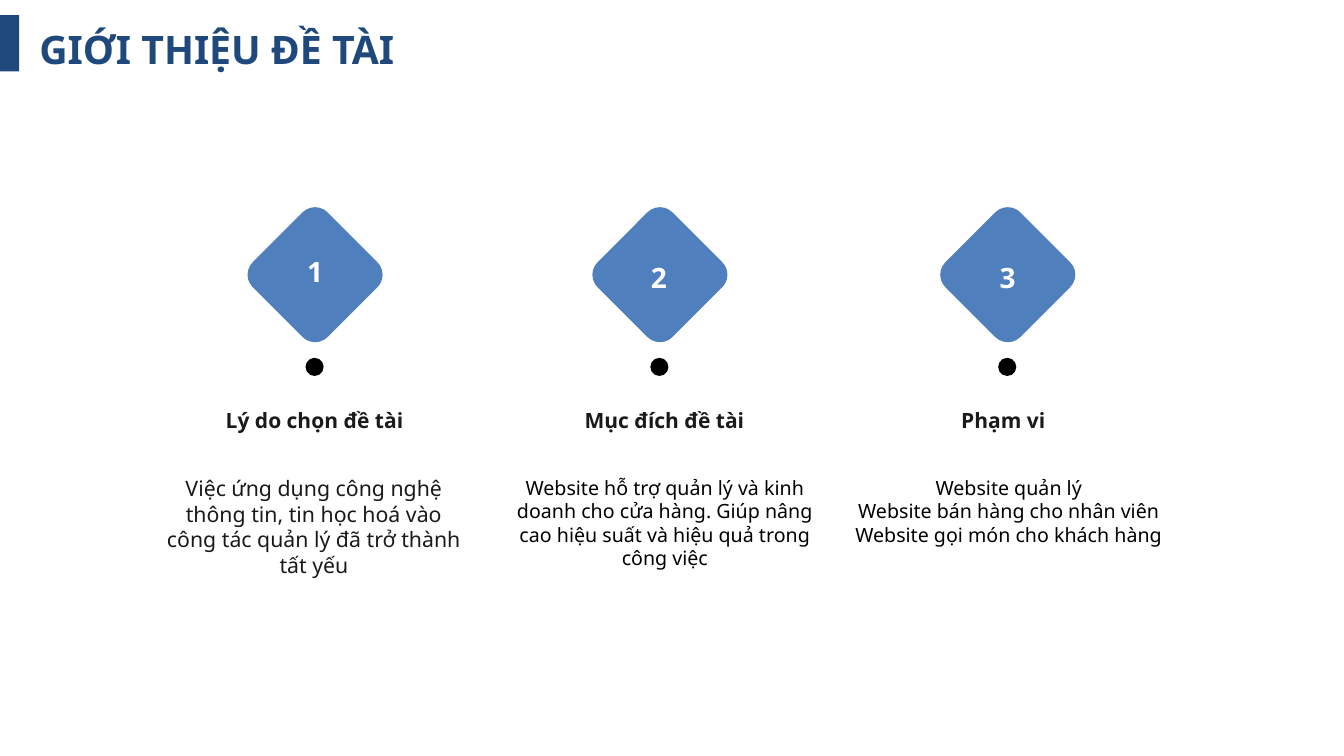
from dataclasses import dataclass

from pptx import Presentation
from pptx import util as u
from pptx.dml.color import RGBColor
from pptx.enum import shapes, text

KIND = shapes.MSO_SHAPE
ALIGN = text.PP_ALIGN
ANCHOR = text.MSO_ANCHOR


@dataclass(frozen=True)
class Theme:
    """Colours, font and type sizes of the deck."""
    font: str = "Noto Sans"
    navy: str = "1F497D"
    blue: str = "4F80BD"
    white: str = "FFFFFF"
    black: str = "000000"
    ink: str = "1A1A1A"
    title: float = 28
    number: float = 20
    heading: float = 15
    lead: float = 15.2
    body: float = 14


class Slide:
    """Draws styled elements on one page, with lengths in px."""
    PX = 9144

    def __init__(self, deck, theme):
        self.theme = theme
        self.page = deck.slides.add_slide(deck.slide_layouts[5])

    def scale(self, *lengths):
        return [u.Emu(length * self.PX) for length in lengths]

    def fill_text(self, box, words, size, color, bold=False, align=ALIGN.CENTER):
        box.text_frame.text = words
        for para in box.text_frame.paragraphs:
            para.alignment = align
            for span in para.runs:
                span.font.name = self.theme.font
                span.font.size = u.Pt(size)
                span.font.bold = bold
                span.font.color.rgb = RGBColor.from_string(color)

    def title(self, words, *place):
        box = self.page.shapes.title
        box.left, box.top, box.width, box.height = self.scale(*place)
        self.fill_text(box, words, self.theme.title, self.theme.navy, True, ALIGN.LEFT)
        frame = box.text_frame
        frame.margin_left = frame.margin_right = 0
        frame.margin_top = frame.margin_bottom = 0
        frame.vertical_anchor = ANCHOR.BOTTOM
        frame.auto_size = text.MSO_AUTO_SIZE.NONE
        frame.word_wrap = True
        frame.paragraphs[0].line_spacing = 0.6
        frame.paragraphs[0].space_before = u.Pt(0)

    def shape(self, kind, color, *place):
        shape = self.page.shapes.add_shape(kind, *self.scale(*place))
        shape.shadow.inherit = False
        shape.fill.solid()
        shape.fill.fore_color.rgb = RGBColor.from_string(color)
        shape.line.fill.background()
        return shape

    def label(self, words, kind, *place):
        label = self.shape(kind, self.theme.blue, *place)
        label.text_frame.vertical_anchor = ANCHOR.MIDDLE
        self.fill_text(label, words, self.theme.number, self.theme.white, True)

    def text(self, words, size, color, *place, bold=False, wrap=True):
        box = self.page.shapes.add_textbox(*self.scale(*place))
        box.text_frame.word_wrap = wrap
        self.fill_text(box, words, size, color, bold)


def main():
    """Build the topic introduction slide."""
    deck = Presentation()
    deck.slide_width, deck.slide_height = u.Inches(13.33), u.Inches(7.5)
    theme = Theme()
    slide = Slide(deck, theme)
    slide.title("GIỚI THIỆU ĐỀ TÀI", 39, 36, 379, 34)
    slide.shape(KIND.RECTANGLE, theme.navy, 0, 15, 19, 56)

    topics = [
        (312, (KIND.RECTANGLE, 266, 248, 93, 43),
         "Lý do chọn đề tài", 172,
         "Việc ứng dụng công nghệ thông tin, tin học hoá vào công tác "
         "quản lý đã trở thành tất yếu", 150, 323, theme.lead, theme.ink),
        (654, (KIND.ROUNDED_RECTANGLE, 609, 251, 89, 48),
         "Mục đích đề tài", 519,
         "Website hỗ trợ quản lý và kinh doanh cho cửa hàng. Giúp nâng cao "
         "hiệu suất và hiệu quả trong công việc", 486, 347, theme.body, theme.black),
        (999, (KIND.ROUNDED_RECTANGLE, 953, 251, 93, 48),
         "Phạm vi", 855,
         "Website quản lý\nWebsite bán hàng cho nhân viên\n"
         "Website gọi món cho khách hàng", 833, 335, theme.body, theme.black),
    ]
    for number, topic in enumerate(topics, 1):
        center, label, heading, heading_left, body, left, width, size, color = topic
        slide.shape(KIND.OVAL, theme.black, center - 9, 355, 18, 18)
        diamond = slide.shape(
            KIND.ROUNDED_RECTANGLE, theme.blue, center - 52, 220, 105, 105)
        diamond.rotation = 135
        slide.label(str(number), *label)
        slide.text(body, size, color, left, 467, width, 113)
        slide.text(heading, theme.heading, theme.ink, heading_left, 399, 280, 71,
                   bold=True, wrap=False)
    deck.save("out.pptx")


if __name__ == "__main__":
    main()
